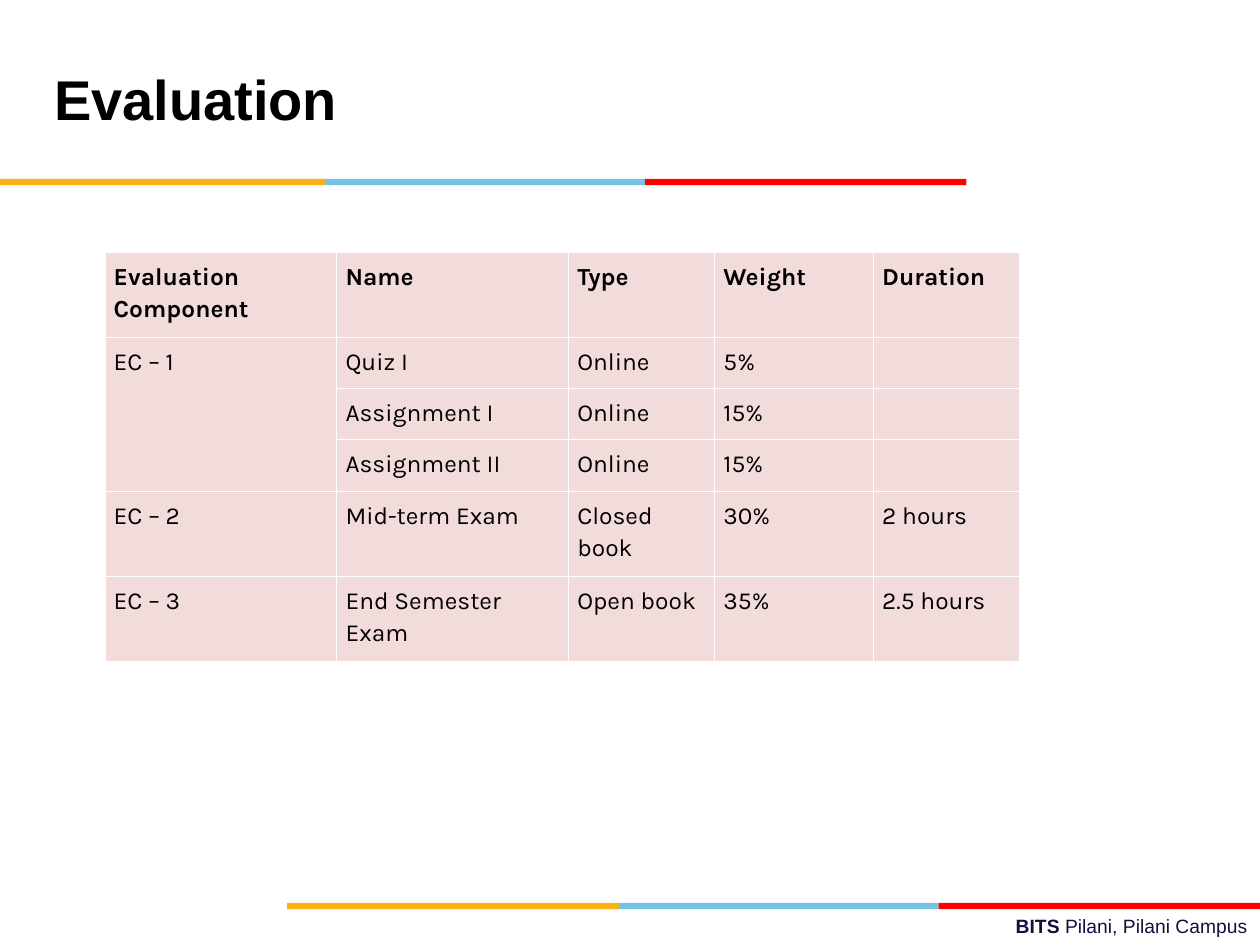
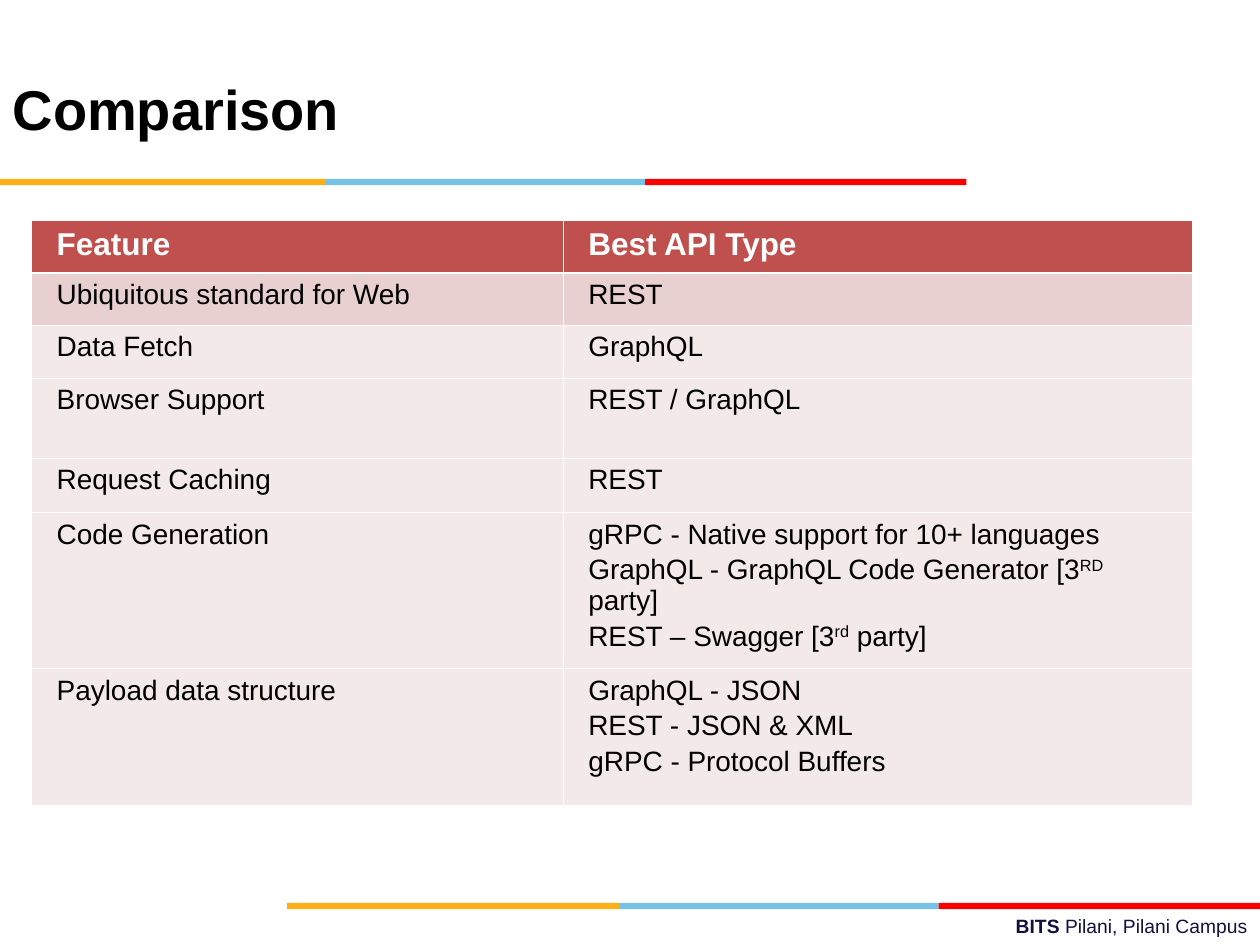
"""Build the Evaluation and Comparison slides of a campus lecture deck."""
from dataclasses import dataclass

from lxml.etree import SubElement
from pptx import Presentation
from pptx.dml.color import RGBColor as Color
from pptx.enum.shapes import MSO_SHAPE as Shape
from pptx.enum.text import MSO_ANCHOR as Anchor, MSO_AUTO_SIZE as AutoSize, PP_ALIGN as Align
from pptx.oxml.ns import qn
from pptx.util import Inches, Pt


@dataclass(frozen=True)
class Theme:
    """Colours, fonts and type sizes of the deck."""
    black: str = "000000"
    white: str = "FFFFFF"
    navy: str = "101141"
    amber: str = "FCB017"
    sky: str = "76C2E5"
    red: str = "FF0000"
    rose: str = "F2DCDB"
    brick: str = "C0504D"
    blush: str = "E8D0D0"
    pale: str = "F4E9E9"
    sans: str = "Arial"
    soft: str = "Karla"
    title_size: int = 32
    header_size: int = 18
    body_size: int = 16
    table_size: int = 14
    footer_size: int = 11
    thin: float = 0.45
    thick: float = 1.47


theme = Theme()


def write(frame, text, font=theme.sans, size=theme.body_size, color=theme.black,
          bold=False, align=Align.LEFT, leading=None, gap=0, mark="bold"):
    """Write lines of text; pieces between carets are bold or raised."""
    frame.word_wrap = True
    for number, line in enumerate(text.split("\n")):
        para = frame.add_paragraph() if number else frame.paragraphs[0]
        para.alignment = align
        if leading:
            para.line_spacing = leading
        if number:
            para.space_before = Pt(gap)
        for place, piece in enumerate(line.split("^")):
            if not piece:
                continue
            marked = place % 2 == 1
            span = para.add_run()
            span.text = piece
            span.font.name = font
            span.font.size = Pt(size)
            span.font.bold = bold or (marked and mark == "bold")
            span.font.color.rgb = Color.from_string(color)
            if marked and mark == "raised":
                span.font._element.set("baseline", "30000")


def border(cell, top, bottom):
    """Give a cell white borders with the given top and bottom widths."""
    properties = cell._tc.get_or_add_tcPr()
    for side, width in (("L", theme.thin), ("R", theme.thin), ("T", top), ("B", bottom)):
        line = SubElement(properties, qn(f"a:ln{side}"), w=str(int(Pt(width))))
        fill = SubElement(line, qn("a:solidFill"))
        SubElement(fill, qn("a:srgbClr"), val=theme.white)


deck = Presentation()
deck.slide_width, deck.slide_height = Inches(10), Inches(7.5)
column, row = deck.slide_width // 40, deck.slide_height // 30

bands = [
    (5.68, (0, 10.32, 20.48, 30.68)),
    (28.66, (9.12, 19.68, 29.8, 40)),
]

evaluation = dict(
    title="Evaluation", title_at=(1.32, 0.68, 27.68, 5),
    at=(3.33, 8), columns=(7.36, 7.36, 4.64, 5.04, 4.64),
    heights=(2.7, 1.63, 1.63, 1.63, 2.7, 2.7),
    fills=[theme.rose] * 6, inset=0.07, header_rule=theme.thin, merge=((1, 0), (3, 0)),
    header=dict(font=theme.soft, size=theme.table_size, bold=True, leading=1.15),
    body=dict(font=theme.soft, size=theme.table_size, leading=1.15),
    cells=[
        ("Evaluation Component", "Name", "Type", "Weight", "Duration"),
        ("EC – 1", "Quiz I", "Online", "5%", ""),
        ("", "Assignment I", "Online", "15%", ""),
        ("", "Assignment II", "Online", "15%", ""),
        ("EC – 2", "Mid-term Exam", "Closed book", "30%", "2 hours"),
        ("EC – 3", "End Semester Exam", "Open book", "35%", "2.5 hours"),
    ],
)

comparison = dict(
    title="Comparison", title_at=(0, 1, 29.32, 5),
    at=(1, 7), columns=(16.88, 19.96),
    heights=(1.66, 1.66, 1.68, 2.54, 1.74, 4.95, 4.34),
    fills=[theme.brick, theme.blush] + [theme.pale] * 5,
    inset=0.2, header_rule=theme.thick, merge=None,
    header=dict(size=theme.header_size, color=theme.white, bold=True),
    body=dict(gap=2.5, mark="raised"),
    cells=[
        ("Feature", "Best API Type"),
        ("Ubiquitous standard for Web", "REST"),
        ("Data Fetch", "GraphQL"),
        ("Browser Support", "REST / GraphQL"),
        ("Request Caching", "REST"),
        ("Code Generation", "gRPC - Native support for 10+ languages\n"
         "GraphQL - GraphQL Code Generator [3^RD^ party]\n"
         "REST – Swagger [3^rd^ party]"),
        ("Payload data structure",
         "GraphQL - JSON\nREST - JSON & XML\ngRPC - Protocol Buffers"),
    ],
)

for content in (evaluation, comparison):
    page = deck.slides.add_slide(deck.slide_layouts[5])

    for top, edges in bands:
        for left, right, color in zip(edges, edges[1:], (theme.amber, theme.sky, theme.red)):
            band = page.shapes.add_shape(
                Shape.RECTANGLE, int(left * column), int(top * row),
                int((right - left) * column), int(0.2 * row))
            band.shadow.inherit = False
            band.fill.solid()
            band.fill.fore_color.rgb = Color.from_string(color)
            band.line.fill.background()

    footer = page.shapes.add_textbox(
        int(14.32 * column), int(28.84 * row), int(25.68 * column), int(1.16 * row))
    write(footer.text_frame, "^BITS ^Pilani, Pilani Campus",
          size=theme.footer_size, color=theme.navy, align=Align.RIGHT)

    title = page.shapes.title
    left, top, width, height = content["title_at"]
    title.left, title.width = int(left * column), int(width * column)
    title.top, title.height = int(top * row), int(height * row)
    title.text_frame.auto_size = AutoSize.NONE
    title.text_frame.vertical_anchor = Anchor.MIDDLE
    write(title.text_frame, content["title"], size=theme.title_size, bold=True, leading=Pt(36))

    left, top = content["at"]
    widths, heights = content["columns"], content["heights"]
    table = page.shapes.add_table(
        len(heights), len(widths), int(left * column), int(top * row),
        int(sum(widths) * column), int(sum(heights) * row)).table
    table.horz_banding = False
    for index, width in enumerate(widths):
        table.columns[index].width = int(width * column)
    for index, (height, texts, fill) in enumerate(
            zip(heights, content["cells"], content["fills"])):
        table.rows[index].height = int(height * row)
        for place, text in enumerate(texts):
            cell = table.cell(index, place)
            cell.margin_left = Inches(content["inset"])
            cell.margin_right = Inches(min(content["inset"], 0.1))
            border(cell, top=content["header_rule"] if index == 1 else theme.thin,
                   bottom=content["header_rule"] if index == 0 else theme.thin)
            cell.fill.solid()
            cell.fill.fore_color.rgb = Color.from_string(fill)
            write(cell.text_frame, text, **content["body" if index else "header"])
    if content["merge"]:
        first, last = content["merge"]
        table.cell(*first).merge(table.cell(*last))

deck.save("out.pptx")
